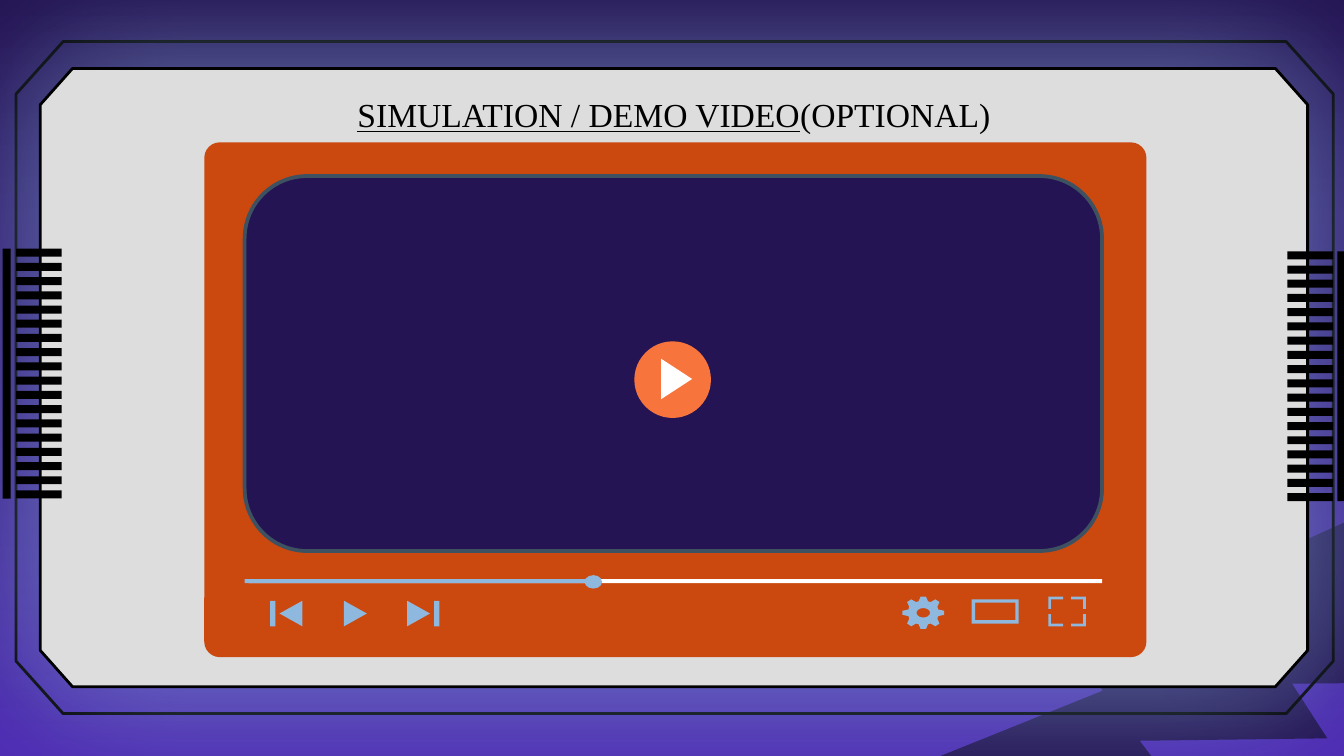
from math import cos, pi, sin

from lxml import etree
from pptx import Presentation
from pptx.dml.color import RGBColor
from pptx.enum.shapes import MSO_SHAPE
from pptx.enum.text import MSO_ANCHOR, MSO_AUTO_SIZE, PP_ALIGN
from pptx.oxml.ns import qn
from pptx.util import Cm, Pt

RECT, OVAL, ROUNDED = MSO_SHAPE.RECTANGLE, MSO_SHAPE.OVAL, MSO_SHAPE.ROUNDED_RECTANGLE
BOLT = MSO_SHAPE.LIGHTNING_BOLT
CENTER, MIDDLE = PP_ALIGN.CENTER, MSO_ANCHOR.MIDDLE
FIT_SHAPE = MSO_AUTO_SIZE.SHAPE_TO_FIT_TEXT

NAVY = RGBColor(0x24, 0x14, 0x54)
VIOLET = RGBColor(0x4E, 0x2C, 0xB3)
BLACK = RGBColor(0, 0, 0)
WHITE = RGBColor(255, 255, 255)
GREY = RGBColor(0xDD, 0xDD, 0xDD)
RUST = RGBColor(0xCB, 0x48, 0x0F)
ORANGE = RGBColor(0xF7, 0x74, 0x3C)
SKY = RGBColor(0x8E, 0xB8, 0xDE)
SLATE = RGBColor(0x3E, 0x51, 0x61)

# All positions below are in inches: left, top, width, height
TITLE = [("SIMULATION / DEMO VIDEO", True), ("(OPTIONAL)", False)]
TITLE_BOX = (0.81, 0.65, 8.41, 0.4)
# box, corner cut (x, y), glow alpha %, glow blur pt, hollow
FRAMES = [
    ((0.12, 0.31, 9.8, 5), (0.35, 0.39), 70, 31.5, True),
    ((0.3, 0.51, 9.43, 4.6), (0.24, 0.27), 60, 76.5, False),
]
# tooth left, top, spine centre, spine rotation
COMBS = [(9.58, 1.87, 9.98, 90), (0.12, 1.85, 0.05, 270)]
TEETH, TOOTH_WIDTH, BAR, SPINE = 18, 0.34, 0.06, 1.86
PANEL = (1.52, 1.06, 7.01, 3.83)
SCREEN = (1.82, 1.31, 6.38, 2.79)
TRACK = (1.85, 4.31, 6.35, 0.03)
PLAYED = (1.82, 4.31, 2.59, 0.03)
KNOB = (4.35, 4.28, 0.13, 0.1)
PLAY_DISC = (4.72, 2.54, 0.57, 0.57)
PLAY_ARROW = (4.92, 2.67, 0.23, 0.3)
# left, width, points left
CONTROL_ARROWS = [(2.08, 0.17, True), (2.56, 0.17, False), (3.03, 0.17, False)]
CONTROL_BARS = [2.01, 3.23]
CONTROL_TOP, CONTROL_HEIGHT = 4.47, 0.19
GEAR_CENTER, GEAR_HOLE = (6.87, 4.56), (0.05, 0.035)
GEAR_QUARTER = [(0.02, -0.12), (0.035, -0.085), (0.055, -0.08), (0.09, -0.1),
                (0.12, -0.08), (0.105, -0.045), (0.11, -0.025), (0.155, -0.015)]
THEATER, THEATER_EDGE = (7.23, 4.46, 0.35, 0.18), 0.025
FULLSCREEN = (7.8, 4.44, 0.28, 0.22)
BRACKET = [(0, 0), (0.11, 0), (0.11, 0.02), (0.02, 0.02), (0.02, 0.09), (0, 0.09)]


def emu(inches):
    return Cm(inches * 2.54)


def paint(shape, fill, line=None, width=0):
    shape.shadow.inherit = False
    shape.fill.solid()
    shape.fill.fore_color.rgb = fill
    if line is None:
        shape.line.fill.background()
    else:
        shape.line.color.rgb = line
        shape.line.width = Pt(width)
    return shape


def add_preset(kind, box, *style):
    return paint(slide.shapes.add_shape(kind, *map(emu, box)), *style)


def add_outline(contours, *style):
    """Add one freeform made of closed contours; inner contours are holes."""
    builder = None
    for contour in contours:
        start, *rest = [(emu(x), emu(y)) for x, y in contour]
        if builder is None:
            builder = slide.shapes.build_freeform(*start, scale=1.0)
        else:
            builder.move_to(*start)
        builder.add_line_segments(rest, close=True)
    return paint(builder.convert_to_shape(), *style)


def add_arrow(box, fill, points_left=False):
    left, top, width, height = box
    base, tip = (left + width, left) if points_left else (left, left + width)
    add_outline([[(base, top), (base, top + height), (tip, top + height / 2)]], fill)


def box_corners(box, inset=0):
    left, top, width, height = box
    right, bottom = left + width - inset, top + height - inset
    left, top = left + inset, top + inset
    return [(left, top), (right, top), (right, bottom), (left, bottom)]


def cut_corners(box, cut):
    left, top, width, height = box
    (right, bottom), (dx, dy) = (left + width, top + height), cut
    return [(left + dx, bottom), (left, bottom - dy), (left, top + dy), (left + dx, top),
            (right - dx, top), (right, top + dy), (right, bottom - dy), (right - dx, bottom)]


def add_glow(shape, alpha, blur):
    effects = shape._element.spPr.find(qn("a:effectLst"))
    glow = etree.SubElement(effects, qn("a:outerShdw"), blurRad=str(Pt(blur)),
                            algn="ctr", rotWithShape="0")
    color = etree.SubElement(glow, qn("a:srgbClr"), val=str(SKY))
    etree.SubElement(color, qn("a:alpha"), val=str(alpha * 1000))


def add_title():
    title = slide.shapes.title
    slide.shapes._spTree.append(title._element)
    for name, value in zip(("left", "top", "width", "height"), TITLE_BOX):
        setattr(title, name, emu(value))
    frame_format = {"word_wrap": True, "auto_size": FIT_SHAPE, "vertical_anchor": MIDDLE}
    for name, value in frame_format.items():
        setattr(title.text_frame, name, value)
    paragraph = title.text_frame.paragraphs[0]
    paragraph.alignment = CENTER
    for text, underlined in TITLE:
        run = paragraph.add_run()
        run.text = text
        run_format = {"name": "Times New Roman", "size": Pt(18), "underline": underlined}
        for name, value in run_format.items():
            setattr(run.font, name, value)
        run.font.color.rgb = BLACK


def add_gear():
    (cx, cy), (rx, ry) = GEAR_CENTER, GEAR_HOLE
    right = GEAR_QUARTER + [(x, -y) for x, y in reversed(GEAR_QUARTER)]
    rim = right + [(-x, y) for x, y in reversed(right)]
    angles = [2 * pi * step / 24 for step in range(24)]
    add_outline([[(cx + x, cy + y) for x, y in rim],
                 [(cx + rx * cos(a), cy + ry * sin(a)) for a in angles]], SKY)


def add_fullscreen():
    left, top, width, height = FULLSCREEN
    for mirror_x in (False, True):
        for mirror_y in (False, True):
            add_outline([[(left + (width - x if mirror_x else x),
                           top + (height - y if mirror_y else y)) for x, y in BRACKET]], SKY)


deck = Presentation()
deck.slide_width, deck.slide_height = emu(10), emu(5.625)
slide = deck.slides.add_slide(deck.slide_layouts[5])
backdrop = slide.background.fill
backdrop.gradient()
backdrop.gradient_angle = 270
for stop, color in zip(backdrop.gradient_stops, (NAVY, VIOLET)):
    stop.color.rgb = color

bolt = add_preset(BOLT, (7.15, 3.37, 3.6, 3.6), NAVY)
bolt.rotation = 30
bolt._element.spPr.find(qn("a:xfrm")).set("flipH", "1")

for box, cut, alpha, blur, hollow in FRAMES:
    frame = add_outline([cut_corners(box, cut)], GREY, BLACK, 1.5)
    add_glow(frame, alpha, blur)
    if hollow:
        next(frame._element.iter(qn("a:path"))).set("fill", "none")

pitch = (SPINE - BAR) / (TEETH - 1)
for left, top, spine_x, rotation in COMBS:
    for tooth in range(TEETH):
        add_preset(RECT, (left, top + tooth * pitch, TOOTH_WIDTH, BAR), BLACK)
    spine_box = (spine_x - SPINE / 2, top + (SPINE - BAR) / 2, SPINE, BAR)
    add_preset(RECT, spine_box, BLACK).rotation = rotation

add_title()

add_preset(ROUNDED, PANEL, RUST).adjustments[0] = 0.03
add_preset(RECT, TRACK, WHITE)
add_preset(RECT, PLAYED, SKY)
add_preset(OVAL, KNOB, SKY)
for left, width, points_left in CONTROL_ARROWS:
    add_arrow((left, CONTROL_TOP, width, CONTROL_HEIGHT), SKY, points_left)
for left in CONTROL_BARS:
    add_preset(RECT, (left, CONTROL_TOP, 0.04, CONTROL_HEIGHT), SKY)
add_gear()
add_outline([box_corners(THEATER), box_corners(THEATER, THEATER_EDGE)], SKY)
add_fullscreen()
add_preset(ROUNDED, SCREEN, NAVY, SLATE, 2)
add_preset(OVAL, PLAY_DISC, ORANGE)
add_arrow(PLAY_ARROW, WHITE)

deck.save("out.pptx")
